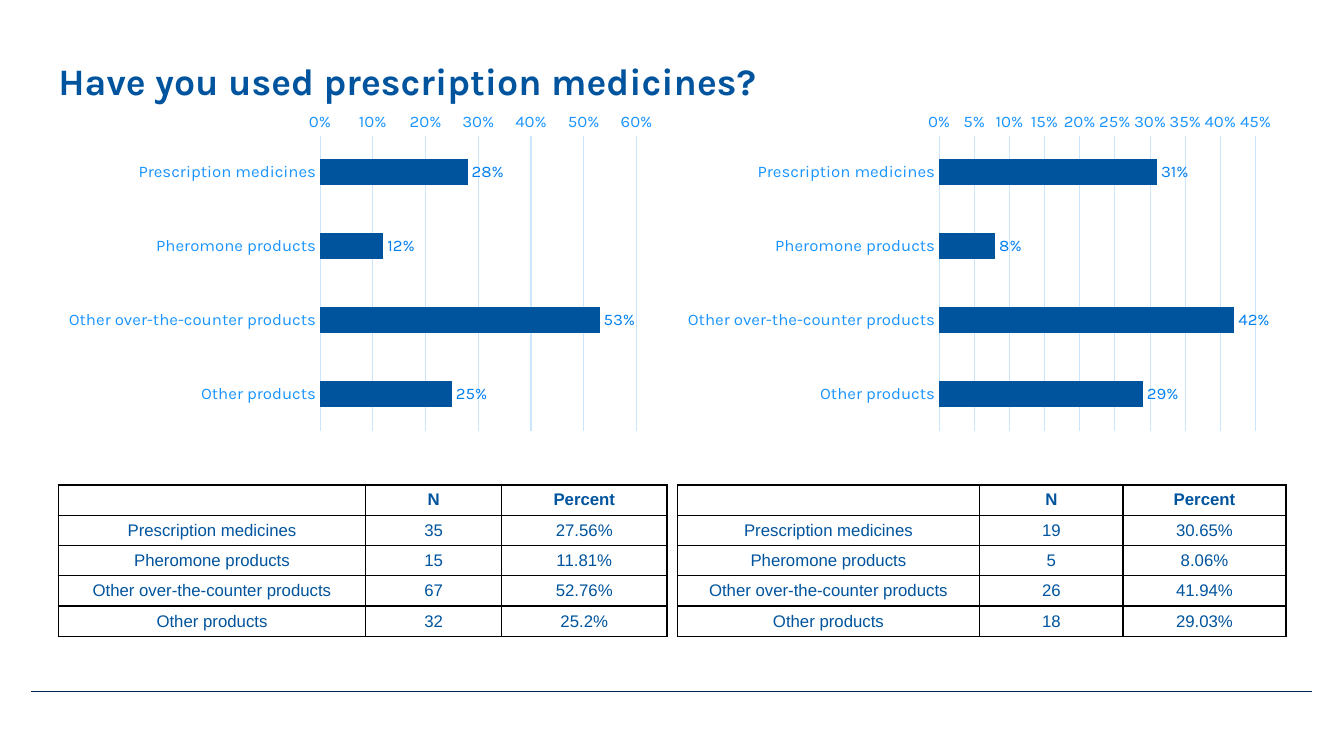
"""Build a survey slide with two bar charts and their tables."""
import dataclasses

import lxml.etree
import pptx
import pptx.chart.data
import pptx.dml.color
import pptx.enum.chart
import pptx.enum.shapes
import pptx.enum.text
import pptx.oxml.ns
import pptx.util

Cm = pptx.util.Cm
Pt = pptx.util.Pt
qn = pptx.oxml.ns.qn
rgb = pptx.dml.color.RGBColor.from_string


@dataclasses.dataclass(frozen=True)
class Theme:
    """Colours, fonts and type sizes."""
    navy: str = "00549E"
    axis: str = "1A94FF"
    value: str = "0080F0"
    grid: str = "CAE6FF"
    rule: str = "00234A"
    border: str = "000000"
    display: str = "Karla"
    body: str = "Arial"
    title_size: float = 26.7
    text_size: float = 12


THEME = Theme()
CATEGORIES = ("Prescription medicines", "Pheromone products",
              "Other over-the-counter products", "Other products")
PANELS = (
    {"left": 1.47, "shares": (0.28, 0.12, 0.53, 0.25), "top_share": 0.6, "step": 0.1,
     "counts": (35, 15, 67, 32), "percents": ("27.56%", "11.81%", "52.76%", "25.2%"),
     "columns": (7.75, 3.42, 4.17)},
    {"left": 17.07, "shares": (0.31, 0.08, 0.42, 0.29), "top_share": 0.45, "step": 0.05,
     "counts": (19, 5, 26, 18), "percents": ("30.65%", "8.06%", "41.94%", "29.03%"),
     "columns": (7.62, 3.61, 4.11)},
)


def style_font(font, size, color, name, bold=False):
    """Set the size, colour, typeface and weight of a font."""
    font.size, font.name, font.bold = Pt(size), name, bold
    font.color.rgb = rgb(color)


def style_line(line, color, width):
    """Give a line its colour and width."""
    line.color.rgb = rgb(color)
    line.width = Pt(width)


def add_title(page, left, top, width, height):
    """Place the heading in its box."""
    box = page.shapes.add_textbox(Cm(left), Cm(top), Cm(width), Cm(height))
    frame = box.text_frame
    frame.word_wrap = True
    frame.vertical_anchor = pptx.enum.text.MSO_ANCHOR.BOTTOM
    frame.margin_left = frame.margin_right = frame.margin_top = frame.margin_bottom = 0
    frame.text = "Have you used prescription medicines?"
    style_font(frame.paragraphs[0].runs[0].font, THEME.title_size, THEME.navy,
               THEME.display, True)


def add_rule(page, left, top, width):
    """Draw the footer rule."""
    rule = page.shapes.add_connector(pptx.enum.shapes.MSO_CONNECTOR.STRAIGHT,
                                     Cm(left), Cm(top), Cm(left + width), Cm(top))
    style_line(rule.line, THEME.rule, 0.5)
    lxml.etree.SubElement(rule._element.spPr, qn("a:effectLst"))


def set_plot_layout(chart, **fractions):
    """Fix the inner plot area as fractions of the chart."""
    area = chart._chartSpace.chart.plotArea
    for old in area.findall(qn("c:layout")):
        area.remove(old)
    layout = lxml.etree.Element(qn("c:layout"))
    area.insert(0, layout)
    manual = lxml.etree.SubElement(layout, qn("c:manualLayout"))
    settings = {"layoutTarget": "inner", "xMode": "edge", "yMode": "edge", **fractions}
    for name, setting in settings.items():
        lxml.etree.SubElement(manual, qn(f"c:{name}")).set("val", str(setting))


def add_bars(page, panel, left, top, width, height):
    """Place a horizontal bar chart of the shares."""
    data = pptx.chart.data.CategoryChartData(number_format="0%")
    data.categories = CATEGORIES
    data.add_series("Series 1", panel["shares"])
    chart = page.shapes.add_chart(pptx.enum.chart.XL_CHART_TYPE.BAR_CLUSTERED,
                                  Cm(left), Cm(top), Cm(width), Cm(height), data).chart
    chart.has_legend = chart.has_title = False
    style_font(chart.font, 10, THEME.navy, THEME.display)
    set_plot_layout(chart, x=0.43, y=0.02, w=0.52, h=0.88)

    for axis in (chart.category_axis, chart.value_axis):
        axis.major_tick_mark = axis.minor_tick_mark = pptx.enum.chart.XL_TICK_MARK.NONE
        style_font(axis.tick_labels.font, THEME.text_size, THEME.axis, THEME.display)
    chart.category_axis.reverse_order = True
    chart.category_axis.crosses = pptx.enum.chart.XL_AXIS_CROSSES.MAXIMUM
    style_line(chart.category_axis.format.line, THEME.grid, 0.75)
    values = chart.value_axis
    values.minimum_scale, values.maximum_scale = 0, panel["top_share"]
    values.major_unit = panel["step"]
    values.tick_labels.number_format = "0%"
    values.tick_labels.number_format_is_linked = False
    values.format.line.fill.background()
    style_line(values.major_gridlines.format.line, THEME.grid, 0.75)

    plot = chart.plots[0]
    plot.gap_width = 182
    plot.vary_by_categories = False
    fill = plot.series[0].format.fill
    fill.solid()
    fill.fore_color.rgb = rgb(THEME.navy)
    plot.has_data_labels = True
    labels = plot.data_labels
    labels.show_value = True
    labels.number_format, labels.number_format_is_linked = "0%", False
    labels.position = pptx.enum.chart.XL_LABEL_POSITION.OUTSIDE_END
    style_font(labels.font, THEME.text_size, THEME.value, THEME.display)


def style_cell(cell, text, bold):
    """Fill a table cell with centred text and draw its borders."""
    cell.text = text
    cell.vertical_anchor = pptx.enum.text.MSO_ANCHOR.MIDDLE
    para = cell.text_frame.paragraphs[0]
    para.alignment = pptx.enum.text.PP_ALIGN.CENTER
    for span in para.runs:
        style_font(span.font, THEME.text_size, THEME.navy, THEME.body, bold)
    if not text:
        ending = lxml.etree.SubElement(para._p, qn("a:endParaRPr"))
        ending.set("sz", str(int(THEME.text_size * 100)))
    properties = cell._tc.get_or_add_tcPr()
    for side in ("lnL", "lnR", "lnT", "lnB"):
        edge = lxml.etree.SubElement(properties, qn(f"a:{side}"), w=str(Pt(1)))
        paint = lxml.etree.SubElement(edge, qn("a:solidFill"))
        lxml.etree.SubElement(paint, qn("a:srgbClr"), val=THEME.border)
    cell.fill.background()


def add_figures(page, panel, left, top, width, height):
    """Place the table of counts and percentages."""
    rows = [("", "N", "Percent"), *zip(CATEGORIES, map(str, panel["counts"]),
                                        panel["percents"])]
    table = page.shapes.add_table(len(rows), len(rows[0]), Cm(left), Cm(top),
                                  Cm(width), Cm(height)).table
    table.horz_banding = False
    for column, column_width in zip(table.columns, panel["columns"]):
        column.width = Cm(column_width)
    for row_index, row in enumerate(rows):
        for column_index, text in enumerate(row):
            style_cell(table.cell(row_index, column_index), text, row_index == 0)


def add_panel(page, panel, top, width):
    """Stack a chart above its table."""
    add_bars(page, panel, panel["left"], top, width, 8.86)
    add_figures(page, panel, panel["left"], top + 9.38, width, 3.7)


def main():
    """Build and save the deck."""
    deck = pptx.Presentation()
    deck.slide_width, deck.slide_height = Cm(33.87), Cm(19.05)
    page = deck.slides.add_slide(deck.slide_layouts[6])
    add_rule(page, 0.79, 17.42, 32.28)
    add_title(page, 1.47, 1.45, 24.41, 1.14)
    for panel in PANELS:
        add_panel(page, panel, 2.84, 15.34)
    deck.save("out.pptx")


if __name__ == "__main__":
    main()
